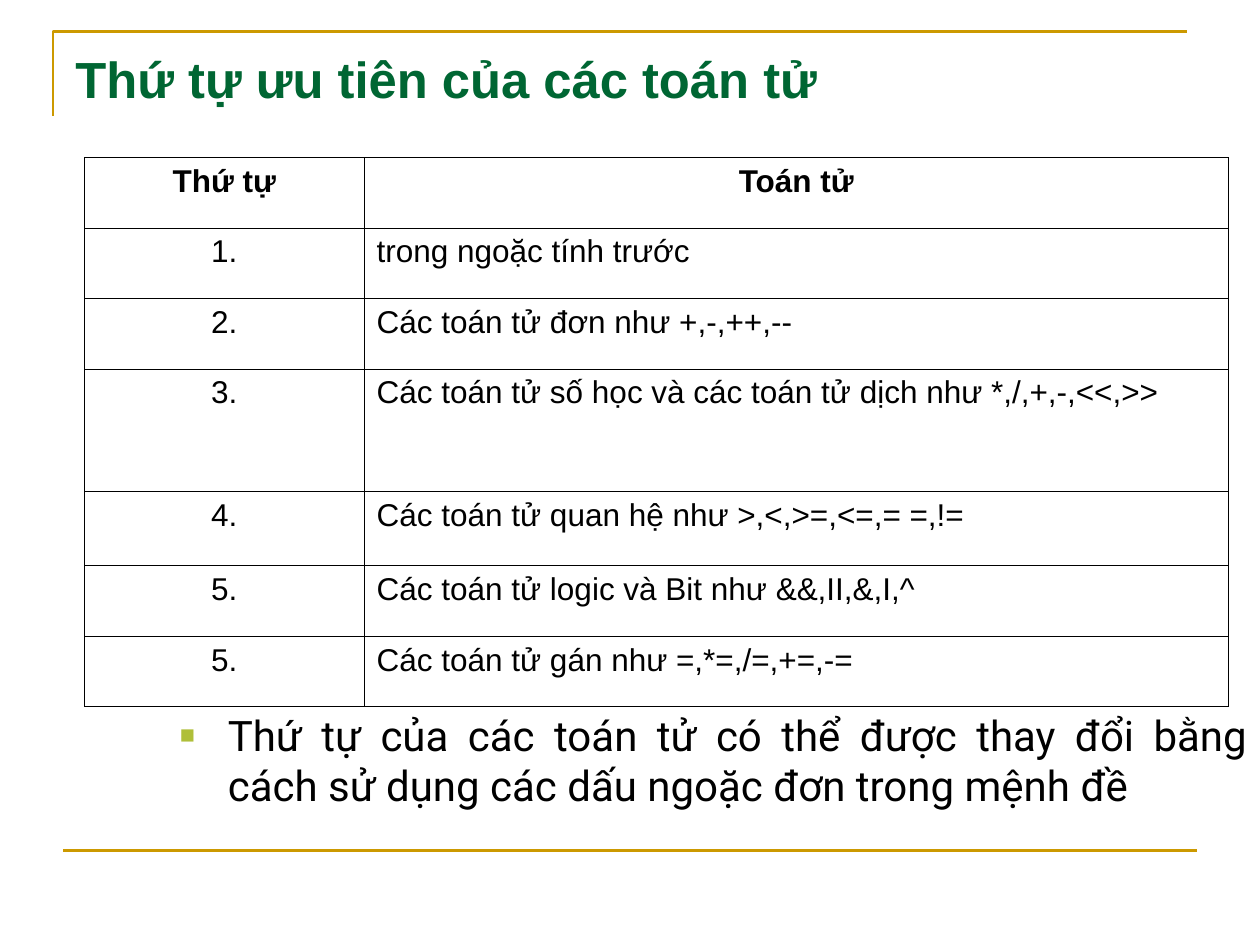
from lxml.etree import SubElement
from pptx import Presentation
from pptx.dml.color import RGBColor
from pptx.enum.shapes import MSO_CONNECTOR
from pptx.enum.text import MSO_ANCHOR, PP_ALIGN
from pptx.oxml.ns import qn
from pptx.util import Inches, Pt

COLORS = {"gold": "CC9900", "green": "006633", "black": "000000", "bullet": "AFBF39"}


def add_text(para, text, size, font, color, bold=False):
    span = para.add_run()
    span.text = text
    span.font.size = Pt(size)
    span.font.name = font
    span.font.bold = bold
    span.font.color.rgb = RGBColor.from_string(COLORS[color])


def add_text_box(page, left, top, width, height):
    box = page.shapes.add_textbox(Inches(left), Inches(top), Inches(width), Inches(height))
    box.text_frame.word_wrap = True
    return box.text_frame


deck = Presentation()
deck.slide_width = Inches(10)
deck.slide_height = Inches(7.5)
page = deck.slides.add_slide(deck.slide_layouts[6])

builder = page.shapes.build_freeform(Inches(0.42), Inches(0.92))
builder.add_line_segments(
    [(Inches(0.42), Inches(0.25)), (Inches(9.42), Inches(0.25))], close=False
)
bracket = builder.convert_to_shape()
bracket.shadow.inherit = False
bracket.fill.background()

footer_line = page.shapes.add_connector(
    MSO_CONNECTOR.STRAIGHT, Inches(0.5), Inches(6.75), Inches(9.5), Inches(6.75)
)
SubElement(footer_line._element.spPr, qn("a:effectLst"))

for rule in (bracket, footer_line):
    rule.line.color.rgb = RGBColor.from_string(COLORS["gold"])
    rule.line.width = Pt(1.5)

title = add_text_box(page, 0.5, 0.33, 8.83, 0.58)
title.vertical_anchor = MSO_ANCHOR.MIDDLE
add_text(title.paragraphs[0], "Thứ tự ưu tiên của các toán tử", 29, "Arial", "green", True)

note = add_text_box(page, 1.33, 5.58, 8.67, 1.29)
para = note.paragraphs[0]
para.alignment = PP_ALIGN.JUSTIFY
para.space_before = Pt(6)
properties = para._p.get_or_add_pPr()
properties.set("marL", str(Inches(0.38)))
properties.set("indent", str(Inches(-0.38)))
bullet_color = SubElement(properties, qn("a:buClr"))
SubElement(bullet_color, qn("a:srgbClr"), val=COLORS["bullet"])
SubElement(properties, qn("a:buSzPct"), val="60000")
SubElement(properties, qn("a:buFont"), typeface="Arial")
SubElement(properties, qn("a:buChar"), char="■")
add_text(
    para,
    "Thứ tự của các toán tử có thể được thay đổi bằng cách sử dụng các dấu ngoặc đơn trong mệnh đề",
    24, "Roboto", "black",
)

rows = [
    ("Thứ tự", "Toán tử", 0.56),
    ("1.", "trong ngoặc tính trước", 0.56),
    ("2.", "Các toán tử đơn như +,-,++,--", 0.56),
    ("3.", "Các toán tử số học và các toán tử dịch như *,/,+,-,<<,>>", 0.97),
    ("4.", "Các toán tử quan hệ như >,<,>=,<=,= =,!=", 0.59),
    ("5.", "Các toán tử logic và Bit như &&,II,&,I,^", 0.56),
    ("5.", "Các toán tử gán như =,*=,/=,+=,-=", 0.56),
]
table = page.shapes.add_table(
    len(rows), 2, Inches(0.67), Inches(1.25), Inches(9.08), Inches(4.37)
).table
table.first_row = False
table.horz_banding = False
table.columns[0].width = Inches(2.22)
table.columns[1].width = Inches(6.86)

for row_index, (order, operators, height) in enumerate(rows):
    table.rows[row_index].height = Inches(height)
    header = row_index == 0
    for column_index, text in enumerate((order, operators)):
        cell = table.cell(row_index, column_index)
        para = cell.text_frame.paragraphs[0]
        centered = header or column_index == 0
        para.alignment = PP_ALIGN.CENTER if centered else PP_ALIGN.LEFT
        add_text(para, text, 18, "Arial", "black", header)
        cell_properties = cell._tc.get_or_add_tcPr()
        for side in ("lnL", "lnR", "lnT", "lnB"):
            border = SubElement(cell_properties, qn(f"a:{side}"), w=str(Pt(0.45)))
            border_fill = SubElement(border, qn("a:solidFill"))
            SubElement(border_fill, qn("a:srgbClr"), val=COLORS["black"])
        cell.fill.background()

deck.save("out.pptx")
